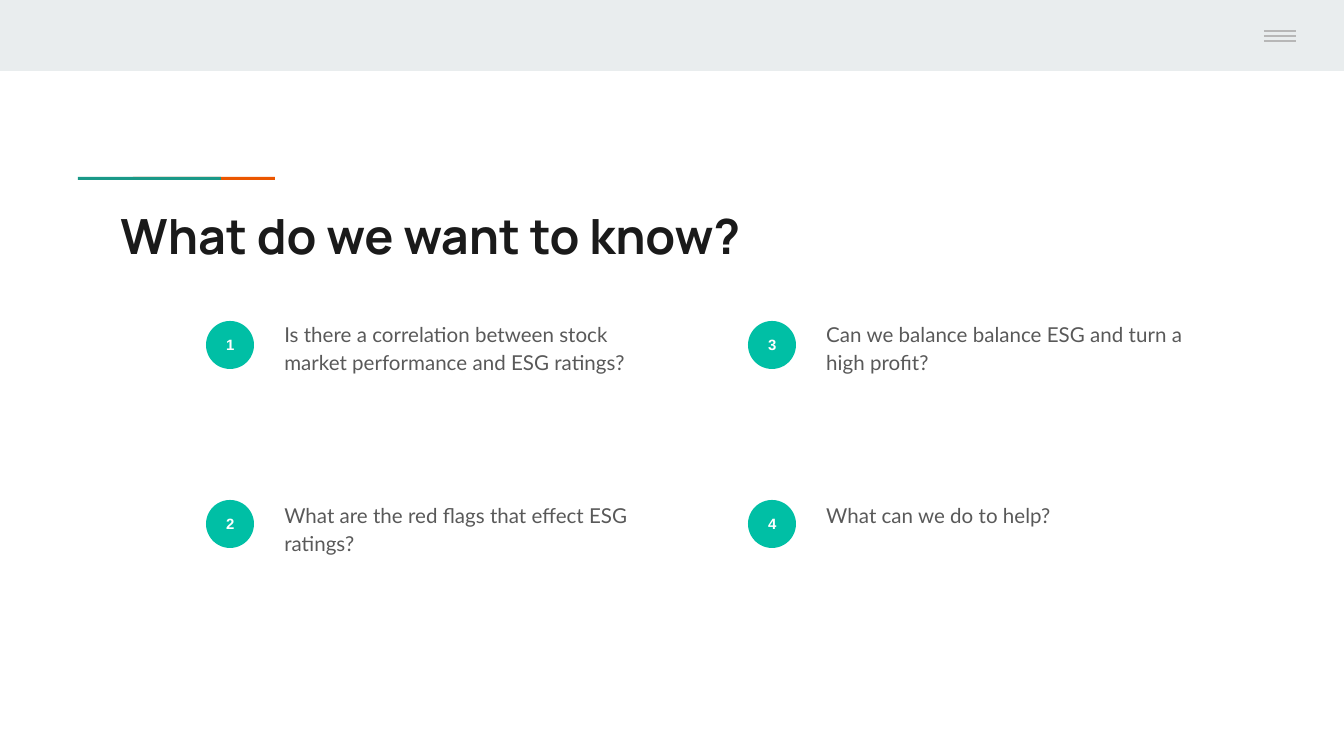
"""Build the slide of four numbered research questions."""
import pptx
import pptx.util
import pptx.dml.color
import pptx.enum.shapes
import pptx.enum.text
import pptx.oxml.ns
import lxml.etree

SCALE = 914400 / 134.4
SHAPE = pptx.enum.shapes.MSO_SHAPE
ALIGN = pptx.enum.text.PP_ALIGN
ANCHOR = pptx.enum.text.MSO_ANCHOR
HUES = {
    "band": "E9EDEE",
    "orange": "EB5600",
    "teal": "1A9988",
    "rule": "B7B7B7",
    "title": "1A1A1A",
    "badge": "00BFA5",
    "white": "FFFFFF",
    "body": "595959",
}
ASKS = [
    "Is there a correlation between stock market performance and ESG ratings?",
    "What are the red flags that effect ESG ratings?",
    "Can we balance balance ESG and turn a high profit?",
    "What can we do to help?",
]


def px(*nums):
    return [pptx.util.Emu(round(num * SCALE)) for num in nums]


def hue(name):
    return pptx.dml.color.RGBColor.from_string(HUES[name])


class Deck:
    def __init__(self):
        self.file = pptx.Presentation()
        self.file.slide_width, self.file.slide_height = px(1344, 756)
        self.slide = self.file.slides.add_slide(self.file.slide_layouts[5])

    def label(self, shape, text, size, font, color, bold=False,
              align=ALIGN.LEFT, anchor=ANCHOR.TOP):
        frame = shape.text_frame
        frame.text = text
        frame.word_wrap = True
        frame.auto_size = pptx.enum.text.MSO_AUTO_SIZE.NONE
        frame.vertical_anchor = anchor
        inset = pptx.util.Inches(0.1)
        frame.margin_left = frame.margin_right = inset
        frame.margin_top = frame.margin_bottom = inset
        para = frame.paragraphs[0]
        para.alignment = align
        face = para.runs[0].font
        face.size = pptx.util.Pt(size)
        face.name = font
        face.bold = bold
        face.color.rgb = hue(color)
        return para

    def title(self, box, text):
        shape = self.slide.shapes.title
        shape.left, shape.top, shape.width, shape.height = px(*box)
        self.label(shape, text, 26, "Manrope", "title", bold=True)

    def block(self, box, color, kind=SHAPE.RECTANGLE):
        shape = self.slide.shapes.add_shape(kind, *px(*box))
        shape.shadow.inherit = False
        shape.fill.solid()
        shape.fill.fore_color.rgb = hue(color)
        shape.line.fill.background()
        return shape

    def rule(self, left, right, top):
        line = self.slide.shapes.add_connector(
            pptx.enum.shapes.MSO_CONNECTOR.STRAIGHT, *px(left, top, right, top))
        line.line.color.rgb = hue("rule")
        line.line.width = pptx.util.Pt(0.75)
        lxml.etree.SubElement(line._element.spPr, pptx.oxml.ns.qn("a:effectLst"))

    def badge(self, left, top, text):
        shape = self.block((left, top, 48, 48), "badge", SHAPE.OVAL)
        self.label(shape, text, 8, "Arial", "white", bold=True,
                   align=ALIGN.CENTER, anchor=ANCHOR.MIDDLE)

    def body(self, box, text):
        shape = self.slide.shapes.add_textbox(*px(*box))
        para = self.label(shape, text, 11, "Lato", "body")
        para.line_spacing = 1.15
        para.space_after = pptx.util.Pt(16)


def main():
    deck = Deck()
    deck.block((0, 0, 1344, 71), "band")
    deck.block((133, 177, 142, 3), "orange")
    deck.block((78, 177, 143, 3), "teal")
    for row in range(3):
        deck.rule(1264, 1296, 31 + 5 * row)
    deck.title((107, 193, 1130, 79), "What do we want to know?")
    for spot, ask in enumerate(ASKS):
        col, row = divmod(spot, 2)
        shift = 542 * col
        deck.badge(206 + shift, 321 + 179 * row, str(spot + 1))
        deck.body((271 + shift, 305 + 181 * row, 417, 155), ask)
    deck.file.save("out.pptx")


if __name__ == "__main__":
    main()
